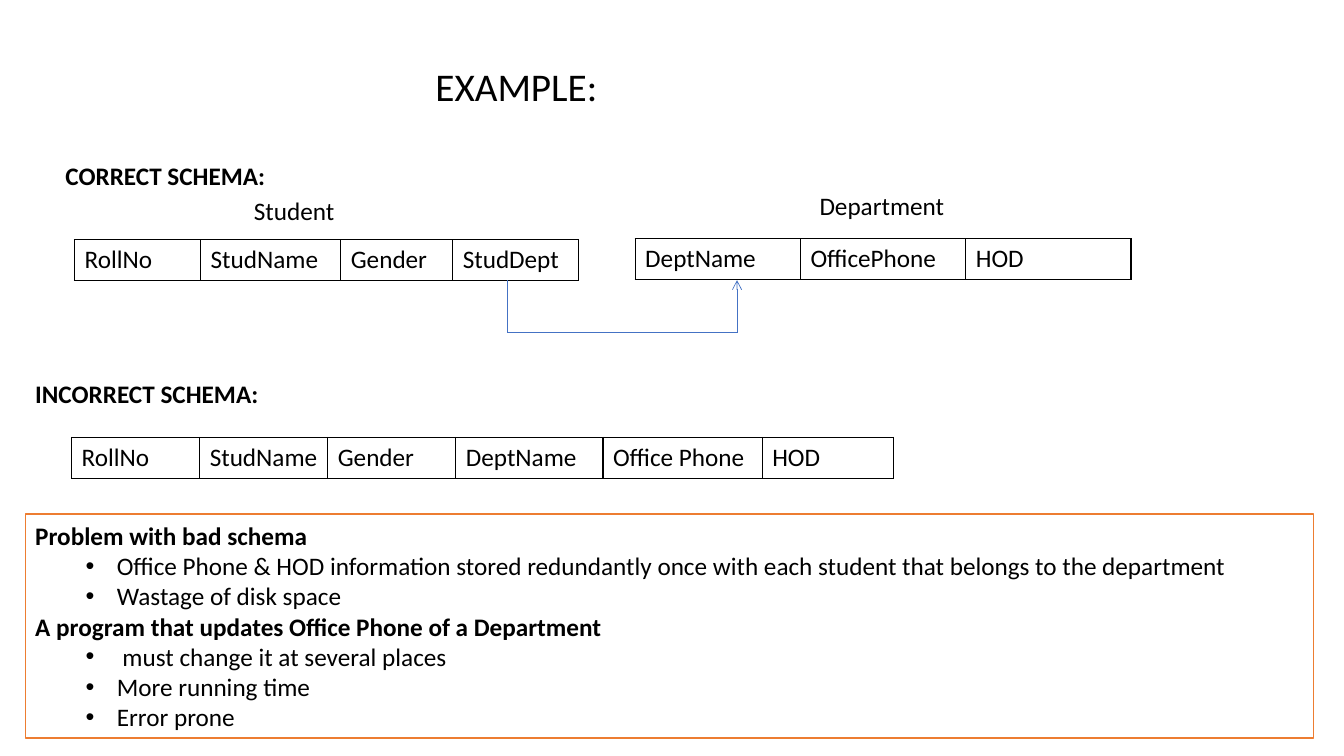
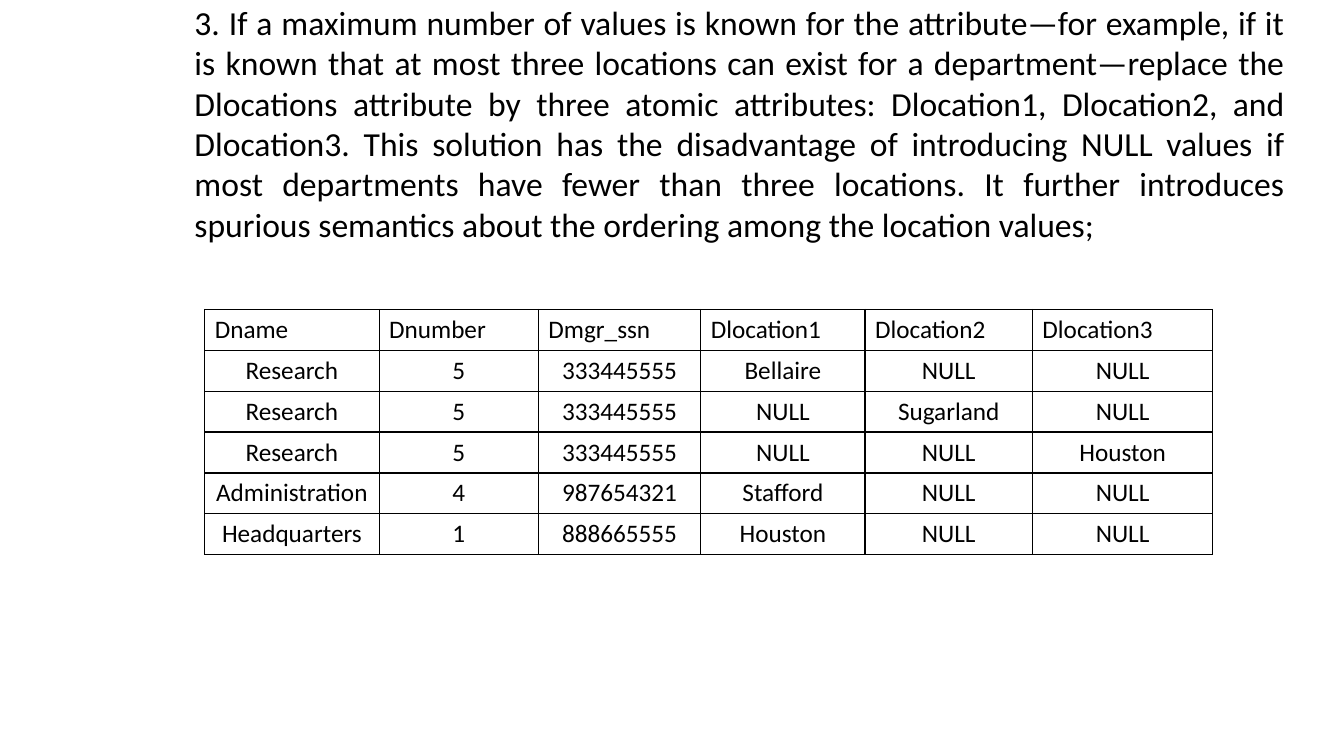
from pptx import Presentation
from pptx.dml.color import RGBColor
from pptx.enum.shapes import MSO_CONNECTOR as CONNECTOR, MSO_SHAPE as SHAPE
from pptx.enum.text import MSO_ANCHOR as ANCHOR, PP_ALIGN as ALIGN
from pptx.oxml import parse_xml
from pptx.oxml.ns import nsdecls
from pptx.util import Inches, Pt

COLORS = {"ink": "000000", "paper": "FFFFFF", "arrow": "4472C4", "frame": "ED7D31"}
BODY = {"name": "Calibri", "size": Pt(18), "bold": False}
HEADING = {**BODY, "bold": True}
TITLE = {**BODY, "size": Pt(28)}
PROSE = {**BODY, "size": Pt(24)}
TABLE_ROW = 5.41

presentation = Presentation()
presentation.slide_width, presentation.slide_height = Inches(13.33), Inches(7.5)

# Grid of 100 columns by 100 rows
COLUMN = presentation.slide_width / 100
ROW = presentation.slide_height / 100


def place(*spans):
    """Turn alternating column and row counts into lengths."""
    return [round(span * (ROW if i % 2 else COLUMN)) for i, span in enumerate(spans)]


def write(paragraph, text, font_format, alignment=ALIGN.LEFT):
    paragraph.alignment = alignment
    run = paragraph.add_run()
    run.text = text
    run.font.color.rgb = RGBColor.from_string(COLORS["ink"])
    for attribute, value in font_format.items():
        setattr(run.font, attribute, value)


schema_slide, location_slide = [
    presentation.slides.add_slide(presentation.slide_layouts[6]) for _ in range(2)
]

# Titles, labels and prose
texts = [
    (schema_slide, (31.66, 7.6, 20.4, 7.6), "EXAMPLE:", TITLE, ALIGN.LEFT),
    (schema_slide, (4.13, 20.53, 37.73, 9.47), "CORRECT SCHEMA:", HEADING, ALIGN.LEFT),
    (schema_slide, (18.15, 25.2, 9.23, 5.33), "Student", BODY, ALIGN.LEFT),
    (schema_slide, (60.24, 24.53, 13.8, 5.33), "Department", BODY, ALIGN.LEFT),
    (schema_slide, (1.88, 49.33, 22.2, 5.33), "INCORRECT SCHEMA:", HEADING, ALIGN.LEFT),
    (location_slide, (13.73, -0.4, 82.6, 33.6),
     "3. If a maximum number of values is known for the attribute—for example, "
     "if it is known that at most three locations can exist for a department—replace "
     "the Dlocations attribute by three atomic attributes: Dlocation1, Dlocation2, "
     "and Dlocation3. This solution has the disadvantage of introducing NULL values "
     "if most departments have fewer than three locations. It further introduces "
     "spurious semantics about the ordering among the location values;",
     PROSE, ALIGN.JUSTIFY),
]
for slide, area, text, font_format, alignment in texts:
    frame = slide.shapes.add_textbox(*place(*area)).text_frame
    frame.word_wrap = True
    write(frame.paragraphs[0], text, font_format, alignment)

# Tables: a left-aligned header row, centred data rows
tables = [
    (schema_slide, (5.55, 31.73), (9.38, 10.43, 8.33, 9.38),
     [("RollNo", "StudName", "Gender", "StudDept")]),
    (schema_slide, (47.26, 31.6), (12.3,) * 3,
     [("DeptName", "OfficePhone", "HOD")]),
    (schema_slide, (5.33, 57.87), (9.53, 9.53, 9.53, 10.95, 11.85, 9.75),
     [("RollNo", "StudName", "Gender", "DeptName", "Office Phone", "HOD")]),
    (location_slide, (15.23, 40.93), (12.98, 11.85, 12.08, 12.23, 12.45, 13.43),
     [("Dname", "Dnumber", "Dmgr_ssn", "Dlocation1", "Dlocation2", "Dlocation3"),
      ("Research", "5", "333445555", "Bellaire", "NULL", "NULL"),
      ("Research", "5", "333445555", "NULL", "Sugarland", "NULL"),
      ("Research", "5", "333445555", "NULL", "NULL", "Houston"),
      ("Administration", "4", "987654321", "Stafford", "NULL", "NULL"),
      ("Headquarters", "1", "888665555", "Houston", "NULL", "NULL")]),
]
for slide, corner, widths, records in tables:
    area = place(*corner, sum(widths), TABLE_ROW * len(records))
    table = slide.shapes.add_table(len(records), len(widths), *area).table
    table.first_row = table.horz_banding = False
    for column, width in zip(table.columns, widths):
        column.width = round(width * COLUMN)
    for row_index, record in enumerate(records):
        table.rows[row_index].height = round(TABLE_ROW * ROW)
        for column_index, text in enumerate(record):
            cell = table.cell(row_index, column_index)
            alignment = ALIGN.CENTER if row_index else ALIGN.LEFT
            write(cell.text_frame.paragraphs[0], text, BODY, alignment)
            properties = cell._tc.get_or_add_tcPr()
            for side in "LRTB":
                properties.append(parse_xml(
                    f'<a:ln{side} {nsdecls("a")} w="{Pt(1)}"><a:solidFill>'
                    f'<a:srgbClr val="{COLORS["ink"]}"/></a:solidFill></a:ln{side}>'))
            cell.fill.background()

# Reference from StudDept to DeptName
corners = [(37.73, 37.07), (37.73, 44), (54.84, 44), (54.84, 37.07)]
for start, end in zip(corners, corners[1:]):
    connector = schema_slide.shapes.add_connector(
        CONNECTOR.STRAIGHT, *place(*start), *place(*end))
    connector.line.color.rgb = RGBColor.from_string(COLORS["arrow"])
    connector.line.width = Pt(0.5)
    connector._element.spPr.append(parse_xml(f'<a:effectLst {nsdecls("a")}/>'))
connector.line._get_or_add_ln().append(
    parse_xml(f'<a:tailEnd {nsdecls("a")} type="arrow"/>'))

# Framed list of problems
problems = {
    "Problem with bad schema": [
        "Office Phone & HOD information stored redundantly once with each student "
        "that belongs to the department",
        "Wastage of disk space",
    ],
    "A program that updates Office Phone of a Department": [
        " must change it at several places",
        "More running time",
        "Error prone",
    ],
}
box = schema_slide.shapes.add_shape(SHAPE.RECTANGLE, *place(1.88, 68, 95.87, 29.6))
box.shadow.inherit = False
box.fill.solid()
box.fill.fore_color.rgb = RGBColor.from_string(COLORS["paper"])
box.line.color.rgb = RGBColor.from_string(COLORS["frame"])
box.line.width = Pt(1)
frame = box.text_frame
frame.word_wrap = True
frame.vertical_anchor = ANCHOR.MIDDLE
paragraph = frame.paragraphs[0]
for heading, points in problems.items():
    if paragraph.runs:
        paragraph = frame.add_paragraph()
    write(paragraph, heading, HEADING)
    for point in points:
        paragraph = frame.add_paragraph()
        paragraph.level = 1
        write(paragraph, point, BODY)
        properties = paragraph._p.get_or_add_pPr()
        properties.set("marL", str(Inches(0.81)))
        properties.set("indent", str(Inches(-0.31)))
        properties.append(parse_xml(f'<a:buFont {nsdecls("a")} typeface="Arial"/>'))
        properties.append(parse_xml(f'<a:buChar {nsdecls("a")} char="•"/>'))

presentation.save("out.pptx")
